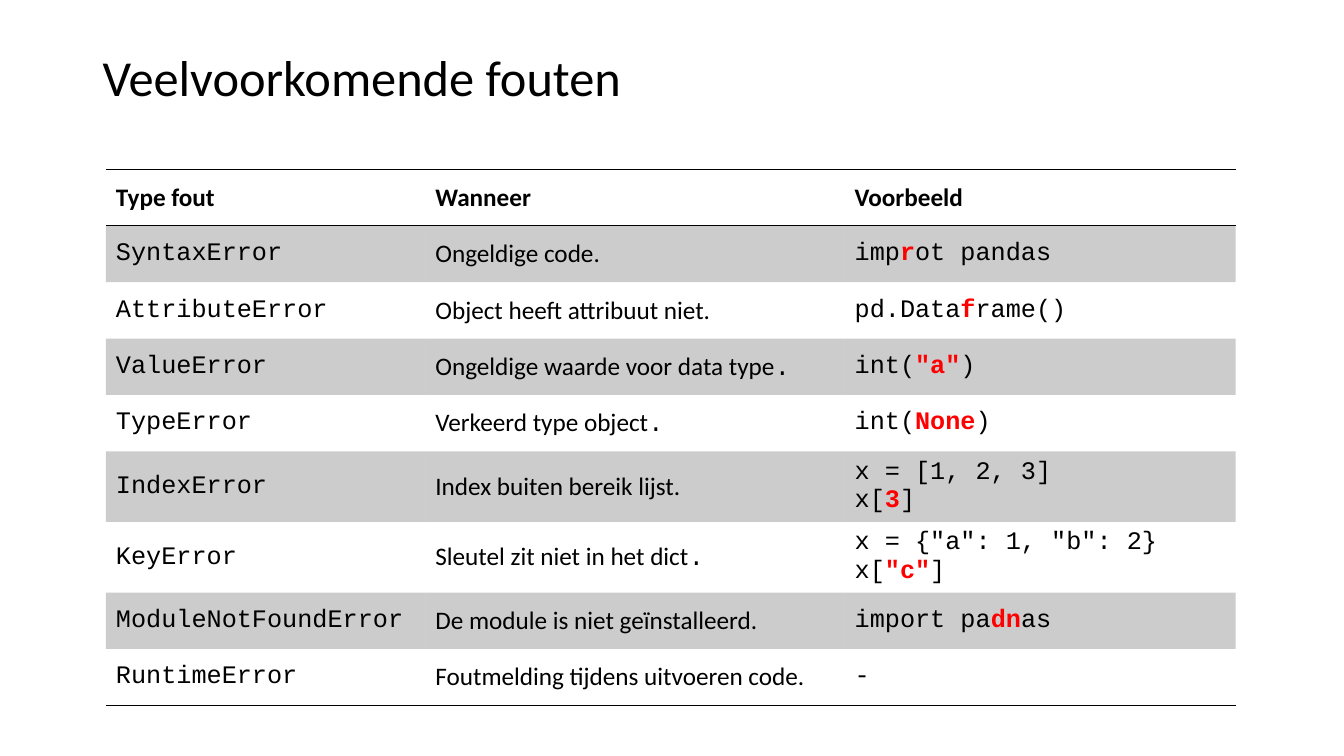
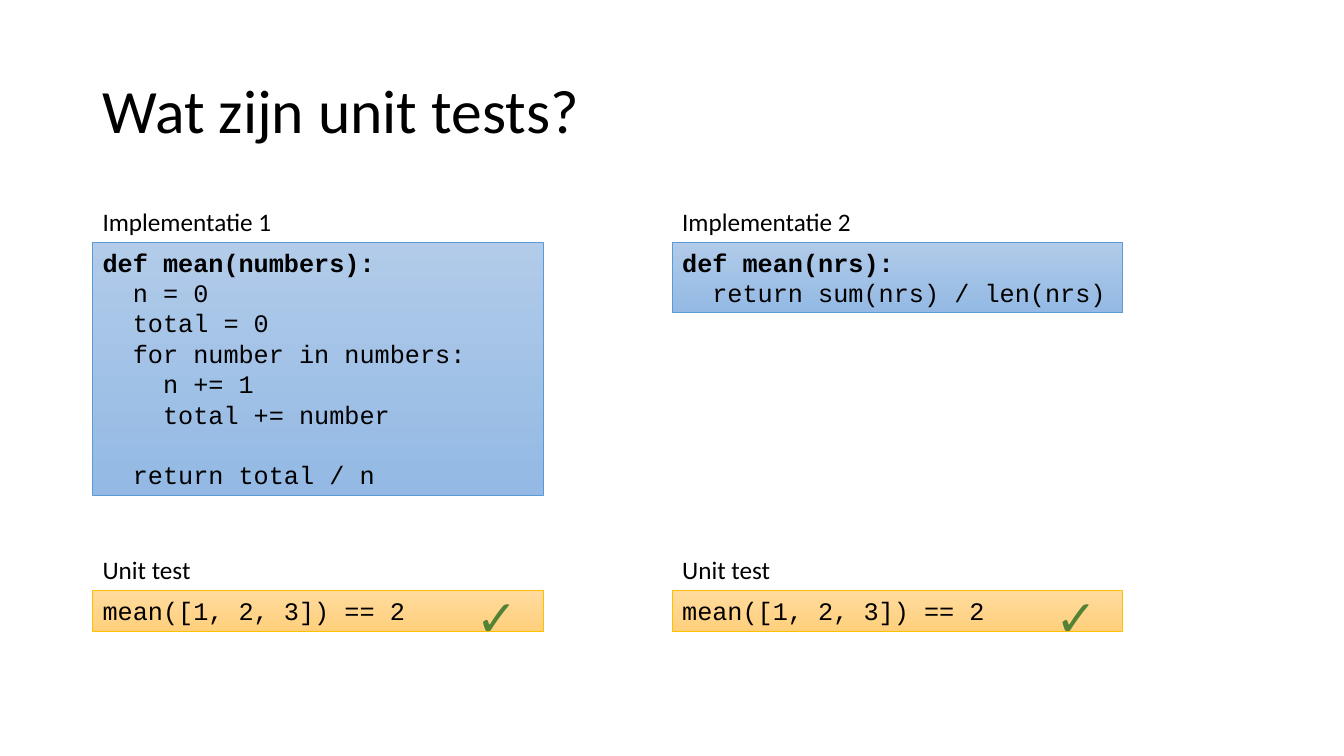
"""Builds two slides on Python errors and unit tests."""
import pptx
import pptx.util
import pptx.dml.color
import pptx.enum.shapes
import pptx.enum.text
import pptx.oxml
import pptx.oxml.ns
from dataclasses import dataclass

Pt = pptx.util.Pt
qn = pptx.oxml.ns.qn
make = pptx.oxml.xmlchemy.OxmlElement


@dataclass(frozen=True)
class Theme:
    """Colours, fonts and sizes for both slides."""
    ink: str = "000000"
    hot: str = "FF0000"
    tick: str = "548235"
    blue: tuple = ("B1CBE9", "93B9E4", "5B9BD5")
    gold: tuple = ("FFDB9E", "FFD07C", "FFC000")
    shade: int = 20
    body: str = "Calibri"
    code: str = "Courier New"
    text: int = 18
    large: int = 36
    huge: int = 44
    pitch: float = 21.7
    char: float = 10.8
    pad: float = 3.6
    grid: str = "{2D5ABB26-0587-4C30-8999-92F81FD0307C}"


T = Theme()
LEFT = 66.2

HEAD = ("Type fout", "Wanneer", "Voorbeeld")
ROWS = [
    ("SyntaxError", "Ongeldige code.", "imp|r|ot pandas"),
    ("AttributeError", "Object heeft attribuut niet.", "pd.Data|f|rame()"),
    ("ValueError", "Ongeldige waarde voor data type|.", 'int(|"a"|)'),
    ("TypeError", "Verkeerd type object|.", "int(|None|)"),
    ("IndexError", "Index buiten bereik lijst.", "x = [1, 2, 3]\nx[|3|]"),
    ("KeyError", "Sleutel zit niet in het dict|.",
     'x = {"a": 1, "b": 2}\nx[|"c"|]'),
    ("ModuleNotFoundError", "De module is niet geïnstalleerd.",
     "import pa|dn|as"),
    ("RuntimeError", "Foutmelding tijdens uitvoeren code.", "-"),
]
COLS = (228.2, 299.5, 279.4)
ROW = 40.3

LONG = """def mean(numbers):
  n = 0
  total = 0
  for number in numbers:
    n += 1
    total += number

  return total / n"""
SHORT = """def mean(nrs):
  return sum(nrs) / len(nrs)"""
TEST = "mean([1, 2, 3]) == 2"
PANELS = [("Implementatie 1", LONG), ("Implementatie 2", SHORT)]
STEP = 414
WIDE = 321.8
CODE_TOP = 172.8
TEST_TOP = 421.9


def style(run, font, size=T.text, color=T.ink, bold=False):
    """Format one run."""
    run.font.name = font
    run.font.size = Pt(size)
    run.font.bold = bold
    run.font.color.rgb = pptx.dml.color.RGBColor.from_string(color)


def label(slide, text, box, size=T.text, color=T.ink, middle=False):
    """Add a text box with one line of body text."""
    frame = slide.shapes.add_textbox(*map(Pt, box)).text_frame
    frame.word_wrap = True
    frame.text = text
    if middle:
        frame.vertical_anchor = pptx.enum.text.MSO_ANCHOR.MIDDLE
        frame.paragraphs[0].line_spacing = 0.9
    style(frame.paragraphs[0].runs[0], T.body, size, color)


def start(deck, title, size, high):
    """Add a slide with its title."""
    slide = deck.slides.add_slide(deck.slide_layouts[6])
    label(slide, title, (LEFT, 28.8, 828, high), size, middle=True)
    return slide


def border(cell, side):
    """Draw a thin black edge on a cell."""
    line = make("a:" + side)
    line.set("w", str(Pt(1)))
    fill = make("a:solidFill")
    tint = make("a:srgbClr")
    tint.set("val", T.ink)
    fill.append(tint)
    line.append(fill)
    cell._tc.get_or_add_tcPr().append(line)


def paint(cell, dark):
    """Give a cell a sheer black fill or none."""
    if not dark:
        cell.fill.background()
        return
    cell.fill.solid()
    cell.fill.fore_color.rgb = pptx.dml.color.RGBColor.from_string(T.ink)
    alpha = make("a:alpha")
    alpha.set("val", str(T.shade * 1000))
    cell._tc.tcPr.find(".//" + qn("a:srgbClr")).append(alpha)


def write(cell, text, row, col):
    """Fill a cell; a bar switches to the marked style and back."""
    frame = cell.text_frame
    frame.text = text.replace("|", "")
    for para, line in zip(frame.paragraphs, text.split("\n")):
        para.text = ""
        for i, part in enumerate(line.split("|")):
            run = para.add_run()
            run.text = part
            mark = i % 2 == 1
            plain = row == 0 or (col == 1 and not mark)
            hot = mark and col == 2
            style(run, T.body if plain else T.code,
                  color=T.hot if hot else T.ink, bold=hot or row == 0)


def errors(slide):
    """Add the table of errors."""
    data = [HEAD] + ROWS
    frame = slide.shapes.add_table(
        len(data), len(COLS), Pt(75.6), Pt(121), Pt(sum(COLS)),
        Pt(ROW * len(data)))
    frame._element.find(".//" + qn("a:tableStyleId")).text = T.grid
    table = frame.table
    for col, width in zip(table.columns, COLS):
        col.width = Pt(width)
    for r, line in enumerate(data):
        table.rows[r].height = Pt(ROW)
        for c, text in enumerate(line):
            cell = table.cell(r, c)
            cell.vertical_anchor = pptx.enum.text.MSO_ANCHOR.MIDDLE
            write(cell, text, r, c)
            if r == 0:
                border(cell, "lnT")
            if r in (0, len(data) - 1):
                border(cell, "lnB")
            paint(cell, r % 2 == 1)


def block(slide, text, left, top, tones):
    """Add a code box as high as its lines."""
    lines = text.split("\n")
    high = 2 * T.pad + T.pitch * len(lines)
    box = slide.shapes.add_shape(
        pptx.enum.shapes.MSO_SHAPE.RECTANGLE,
        Pt(left), Pt(top), Pt(WIDE), Pt(high))
    box.shadow.inherit = False
    box.fill.gradient()
    box.fill.gradient_angle = 270
    first, last, edge = map(pptx.dml.color.RGBColor.from_string, tones)
    for stop, tone in zip(box.fill.gradient_stops, (first, last)):
        stop.color.rgb = tone
    box.line.color.rgb = edge
    box.line.width = Pt(0.5)
    frame = box.text_frame
    frame.word_wrap = True
    frame.vertical_anchor = pptx.enum.text.MSO_ANCHOR.TOP
    frame.text = "\n".join(s.strip() for s in lines if s)
    gap = 0
    paras = iter(frame.paragraphs)
    for line in lines:
        if not line:
            gap += T.pitch
            continue
        para = next(paras)
        para.alignment = pptx.enum.text.PP_ALIGN.LEFT
        para.line_spacing = Pt(T.pitch)
        para.space_before = Pt(gap)
        gap = 0
        depth = len(line) - len(line.lstrip())
        props = para._p.get_or_add_pPr()
        props.set("marL", str(Pt(depth * T.char)))
        props.set("indent", "0")
        style(para.runs[0], T.code, bold=line.startswith("def"))


def tests(slide):
    """Add each version above its unit test."""
    for i, (name, code) in enumerate(PANELS):
        left = LEFT + i * STEP
        block(slide, code, left, CODE_TOP, T.blue)
        label(slide, name, (left, CODE_TOP - 28.8, 136.8, 28.8))
        block(slide, TEST, left, TEST_TOP, T.gold)
        label(slide, "Unit test", (left, TEST_TOP - 29.3, 90, 28.8))
        label(slide, "✓", (left + 266.4, TEST_TOP - 6.5, 43.2, 50.9),
              T.large, T.tick)


deck = pptx.Presentation()
deck.slide_width, deck.slide_height = Pt(960), Pt(540)
errors(start(deck, "Veelvoorkomende fouten", T.large, 56.9))
tests(start(deck, "Wat zijn unit tests?", T.huge, 104.4))
deck.save("out.pptx")
